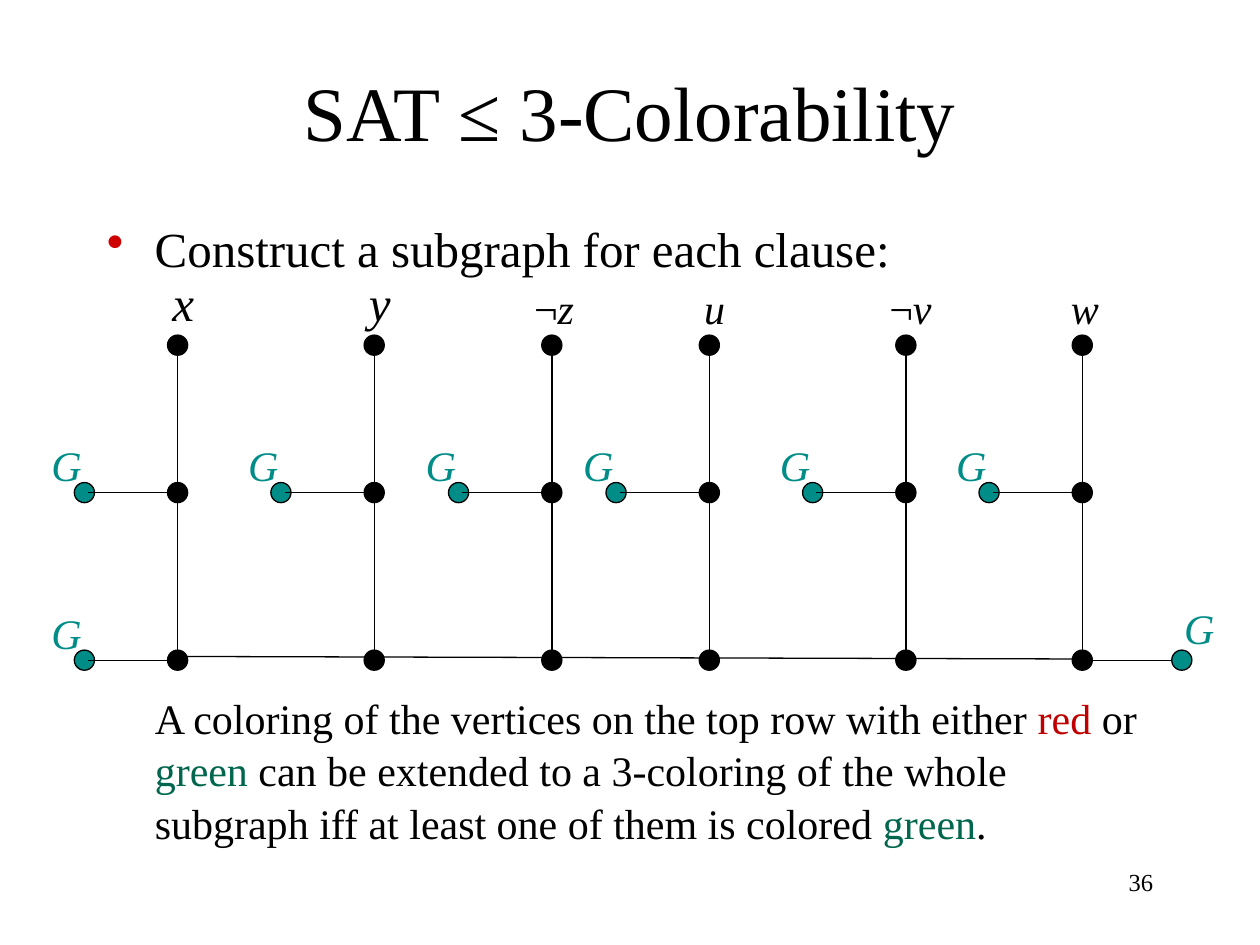
import dataclasses

import pptx
import pptx.dml.color
import pptx.enum.shapes
import pptx.enum.text
import pptx.oxml
import pptx.oxml.ns
import pptx.util
from pptx.util import Inches

ALIGN = pptx.enum.text.PP_ALIGN
ANCHOR = pptx.enum.text.MSO_ANCHOR


@dataclasses.dataclass(frozen=True)
class Theme:
    font: str = "Times New Roman"
    black: str = "000000"
    teal: str = "008C87"
    red: str = "C00000"
    green: str = "00664D"
    bullet: str = "CE0000"
    title: int = 44
    heading: int = 28
    text: int = 24
    number: int = 14
    line: float = 0.75


THEME = Theme()
DIAMETER = 0.16
RADIUS = DIAMETER / 2

# One entry per literal: column centre, label left, label top, size, text runs
LITERALS = [
    (1.41, 1.27, 2.11, THEME.heading, [("x", True)]),
    (2.97, 2.83, 2.11, THEME.heading, [("y", True)]),
    (4.38, 4.14, 2.19, THEME.text, [("¬", False), ("z", True)]),
    (5.63, 5.49, 2.19, THEME.text, [("u", True)]),
    (7.19, 6.96, 2.19, THEME.text, [("¬", False), ("v", True)]),
    (8.59, 8.40, 2.19, THEME.text, [("w", True)]),
]
ROWS = (2.74, 3.91, 5.24)


def rgb(color):
    return pptx.dml.color.RGBColor.from_string(color)


def set_attributes(target, values):
    for name, value in values.items():
        setattr(target, name, value)


def add_text(slide, box, runs, size, align=ALIGN.LEFT, anchor=ANCHOR.TOP,
             wrap=True, spacing=None, bullet=False):
    """Add one paragraph; each run is (text, color, italic)."""
    shape = slide.shapes.add_textbox(*map(Inches, box))
    fit = pptx.enum.text.MSO_AUTO_SIZE
    set_attributes(shape.text_frame, {
        "word_wrap": wrap,
        "vertical_anchor": anchor,
        "auto_size": fit.NONE if wrap else fit.SHAPE_TO_FIT_TEXT,
    })
    paragraph = shape.text_frame.paragraphs[0]
    set_attributes(paragraph, {"alignment": align, "line_spacing": spacing})
    if bullet:
        add_bullet(paragraph)
    for text, color, italic in runs:
        run = paragraph.add_run()
        run.text = text
        set_attributes(run.font, {"name": THEME.font, "size": pptx.util.Pt(size),
                                  "italic": italic})
        run.font.color.rgb = rgb(color)
    return shape


def add_bullet(paragraph):
    properties = paragraph._p.get_or_add_pPr()
    properties.set("marL", str(Inches(0.38)))
    properties.set("indent", str(Inches(-0.38)))
    namespace = pptx.oxml.ns.nsdecls("a")
    for xml in (
        f'<a:buClr {namespace}><a:srgbClr val="{THEME.bullet}"/></a:buClr>',
        f'<a:buChar {namespace} char="•"/>',
    ):
        properties.append(pptx.oxml.parse_xml(xml))


def add_vertex(slide, x, y, color):
    shape = slide.shapes.add_shape(
        pptx.enum.shapes.MSO_SHAPE.OVAL, Inches(x - RADIUS), Inches(y - RADIUS),
        Inches(DIAMETER), Inches(DIAMETER))
    shape.shadow.inherit = False
    shape.fill.solid()
    shape.fill.fore_color.rgb = rgb(color)
    shape.line.color.rgb = rgb(THEME.black)
    shape.line.width = pptx.util.Pt(THEME.line)


def add_edge(slide, *ends):
    edge = slide.shapes.add_connector(
        pptx.enum.shapes.MSO_CONNECTOR.STRAIGHT, *map(Inches, ends))
    edge.line.color.rgb = rgb(THEME.black)
    edge.line.width = pptx.util.Pt(THEME.line)
    edge._element.spPr.append(
        pptx.oxml.parse_xml(f'<a:effectLst {pptx.oxml.ns.nsdecls("a")}/>'))


def add_green_vertex(slide, x, y, label_left, label_top):
    add_vertex(slide, x, y, THEME.teal)
    add_text(slide, (label_left, label_top, 0.45, 0.5),
             [("G", THEME.teal, True)], THEME.text, wrap=False)


def add_left_green(slide, x, y):
    """Green vertex joined to the left side of the vertex at x, y."""
    add_green_vertex(slide, x - 0.74, y, x - 1.1, y - 0.47)
    add_edge(slide, x - 0.71, y, x - RADIUS, y)


def add_title(slide, box):
    add_text(slide, box, [("SAT ≤ 3-Colorability", THEME.black, False)],
             THEME.title, align=ALIGN.CENTER, anchor=ANCHOR.MIDDLE)


def add_heading(slide, box):
    add_text(slide, box,
             [("Construct a subgraph for each clause:", THEME.black, False)],
             THEME.heading, spacing=1.04, bullet=True)


def add_clause_graph(slide, literals, rows):
    top, middle, bottom = rows
    first, last = literals[0][0], literals[-1][0]

    # Columns, one for each literal
    for x, label_left, label_top, size, label in literals:
        for y in rows:
            add_vertex(slide, x, y, THEME.black)
        for upper, lower in zip(rows, rows[1:]):
            add_edge(slide, x, upper + RADIUS, x, lower - RADIUS)
        add_left_green(slide, x, middle)
        width = 0.54 if len(label) > 1 else 0.38
        add_text(slide, (label_left, label_top, width, 0.5),
                 [(text, THEME.black, italic) for text, italic in label],
                 size, wrap=False)

    # Bottom row, closed by a green vertex at each end
    add_left_green(slide, first, bottom)
    add_green_vertex(slide, last + 0.79, bottom, last + 0.71, bottom - 0.51)
    add_edge(slide, last + RADIUS, bottom, last + 0.71, bottom)
    add_edge(slide, first, bottom - 0.03, last - 0.05, bottom - 0.01)


def add_conclusion(slide, box):
    parts = [
        ("A coloring of the vertices on the top row with either ", THEME.black),
        ("red", THEME.red),
        (" or ", THEME.black),
        ("green", THEME.green),
        (" can be extended to a 3-coloring of the whole subgraph iff "
         "at least one of them is colored ", THEME.black),
        ("green", THEME.green),
        (".", THEME.black),
    ]
    add_text(slide, box, [(text, color, False) for text, color in parts],
             THEME.text, spacing=1.04)


def add_slide_number(slide, box):
    add_text(slide, box, [("36", THEME.black, False)], THEME.number,
             align=ALIGN.RIGHT)


def main():
    presentation = pptx.Presentation()
    set_attributes(presentation, {"slide_width": Inches(10),
                                  "slide_height": Inches(7.5)})
    slide = presentation.slides.add_slide(presentation.slide_layouts[6])
    add_title(slide, (0.75, 0.25, 8.5, 1.25))
    add_heading(slide, (0.75, 1.67, 8.5, 0.6))
    add_conclusion(slide, (1.13, 5.43, 8.12, 1.3))
    add_slide_number(slide, (7.17, 6.83, 2.08, 0.5))
    add_clause_graph(slide, LITERALS, ROWS)
    presentation.save("out.pptx")


if __name__ == "__main__":
    main()
